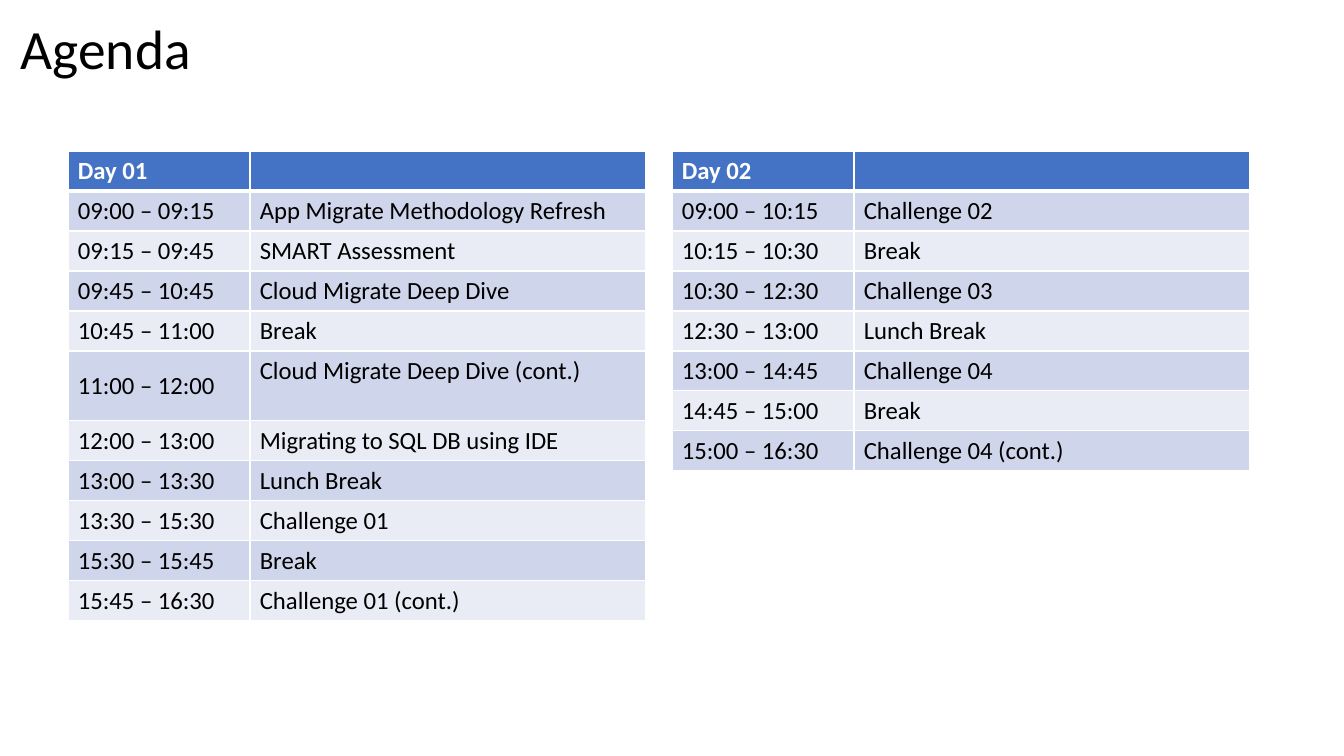
from dataclasses import dataclass

from lxml import etree
from pptx import Presentation
from pptx import util as u
from pptx.dml.color import RGBColor
from pptx.enum import text
from pptx.oxml import ns

SCALE = 9255  # EMU in one px


def px(n):
    return u.Emu(n * SCALE)


@dataclass(frozen=True)
class Theme:
    font: str = "Calibri"
    ink: str = "000000"
    white: str = "FFFFFF"
    head: str = "4472C4"
    bands: tuple = ("CFD5EA", "E9EBF5")
    title: float = 40.4
    body: int = 18
    thin: int = 1
    thick: int = 3


class Deck:
    def __init__(self, theme, width, height):
        self.theme = theme
        self.prs = Presentation()
        self.prs.slide_width, self.prs.slide_height = px(width), px(height)
        self.slide = self.prs.slides.add_slide(self.prs.slide_layouts[6])

    def label(self, para, words, size, color, bold=False):
        run = para.add_run()
        run.text = words
        style = {"name": self.theme.font, "size": u.Pt(size), "bold": bold}
        for key, value in style.items():
            setattr(run.font, key, value)
        run.font.color.rgb = RGBColor.from_string(color)

    def title(self, words, *box):
        frame = self.slide.shapes.add_textbox(*map(px, box)).text_frame
        frame.word_wrap = True
        para = frame.paragraphs[0]
        para.line_spacing = 0.9
        self.label(para, words, self.theme.title, self.theme.ink)

    def border(self, cell, sides):
        """Draw white cell borders; sides maps L, R, T, B to points."""
        props = cell._tc.get_or_add_tcPr()
        for side, width in sides.items():
            line = etree.SubElement(props, ns.qn(f"a:ln{side}"), w=str(u.Pt(width)))
            fill = etree.SubElement(line, ns.qn("a:solidFill"))
            etree.SubElement(fill, ns.qn("a:srgbClr"), val=self.theme.white)

    def cell(self, cell, words, row):
        look = self.theme
        head = row == 0
        self.border(cell, {
            "L": look.thin,
            "R": look.thin,
            "T": look.thick if row == 1 else look.thin,
            "B": look.thick if head else look.thin,
        })
        cell.fill.solid()
        color = look.head if head else look.bands[(row - 1) % 2]
        cell.fill.fore_color.rgb = RGBColor.from_string(color)
        cell.vertical_anchor = text.MSO_ANCHOR.MIDDLE
        if words:
            para = cell.text_frame.paragraphs[0]
            self.label(para, words, look.body, look.white if head else look.ink, head)

    def agenda(self, day, plan, left, top, cols, high, tall=None):
        """Add one day's table; the row numbered tall is higher, its topic on top."""
        rows = [(day, ""), *plan]
        frame = self.slide.shapes.add_table(
            len(rows), len(cols), px(left), px(top), px(sum(cols)), px(high * len(rows)))
        table = frame.table
        table.horz_banding = False
        for col, width in zip(table.columns, cols):
            col.width = px(width)
        for r, row in enumerate(rows):
            table.rows[r].height = px(high)
            for c, words in enumerate(row):
                self.cell(table.cell(r, c), words, r)
        if tall:
            table.rows[tall].height = px(TALL)
            table.cell(tall, 1).vertical_anchor = text.MSO_ANCHOR.TOP


TOP, COLS, HIGH, TALL = 151, (182, 396), 40, 70

DAY1 = [
    ("09:00 – 09:15", "App Migrate Methodology Refresh"),
    ("09:15 – 09:45", "SMART Assessment"),
    ("09:45 – 10:45", "Cloud Migrate Deep Dive"),
    ("10:45 – 11:00", "Break"),
    ("11:00 – 12:00", "Cloud Migrate Deep Dive (cont.)"),
    ("12:00 – 13:00", "Migrating to SQL DB using IDE"),
    ("13:00 – 13:30", "Lunch Break"),
    ("13:30 – 15:30", "Challenge 01"),
    ("15:30 – 15:45", "Break"),
    ("15:45 – 16:30", "Challenge 01 (cont.)"),
]
DAY2 = [
    ("09:00 – 10:15", "Challenge 02"),
    ("10:15 – 10:30", "Break"),
    ("10:30 – 12:30", "Challenge 03"),
    ("12:30 – 13:00", "Lunch Break"),
    ("13:00 – 14:45", "Challenge 04"),
    ("14:45 – 15:00", "Break"),
    ("15:00 – 16:30", "Challenge 04 (cont.)"),
]


def main():
    deck = Deck(Theme(), 1344, 756)
    deck.title("Agenda", 11, 17, 1214, 61)
    deck.agenda("Day 01", DAY1, 68, TOP, COLS, HIGH, tall=5)
    deck.agenda("Day 02", DAY2, 672, TOP, COLS, HIGH)
    deck.prs.save("out.pptx")


if __name__ == "__main__":
    main()
